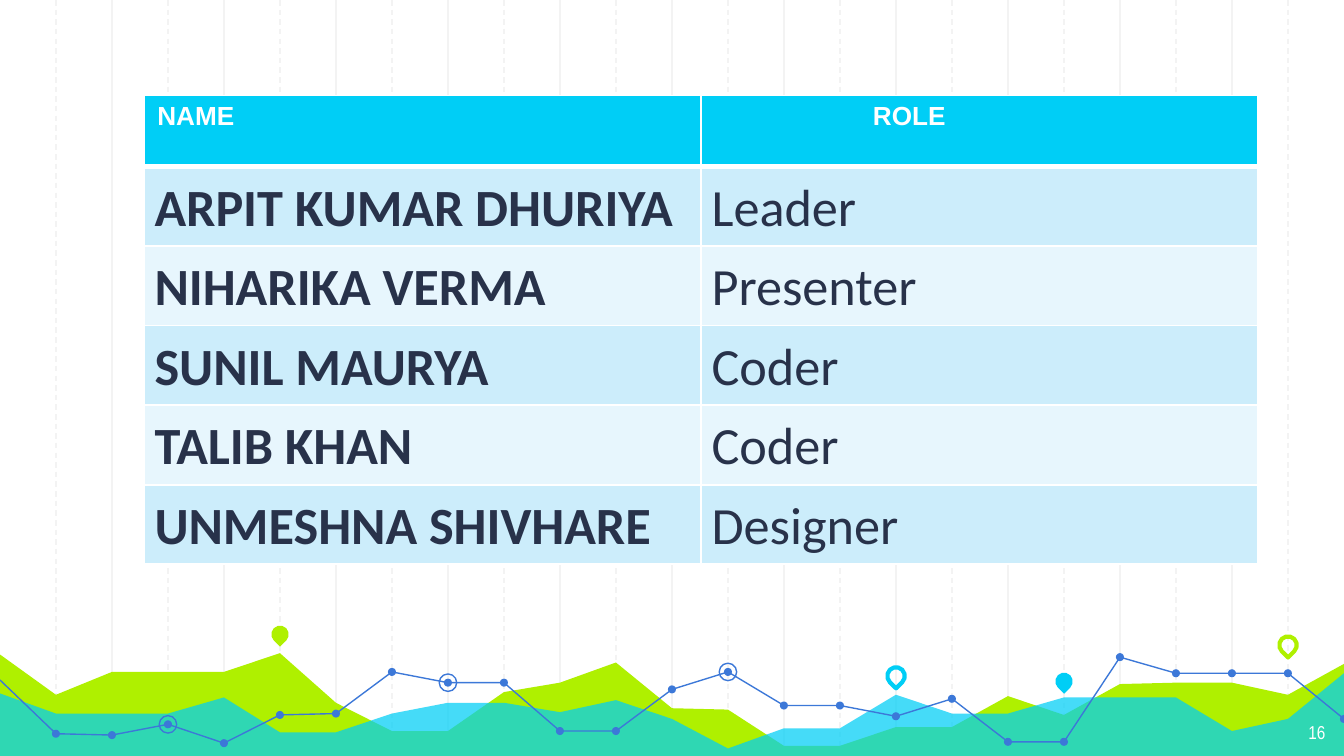
from lxml import etree
from pptx import Presentation
from pptx.dml.color import RGBColor
from pptx.enum.dml import MSO_LINE
from pptx.enum.shapes import MSO_CONNECTOR, MSO_SHAPE
from pptx.enum.text import PP_ALIGN
from pptx.oxml.ns import qn
from pptx.util import Inches, Pt

DASH = MSO_LINE.DASH
STRAIGHT = MSO_CONNECTOR.STRAIGHT
ELLIPSE = MSO_SHAPE.OVAL
TEARDROP = MSO_SHAPE.TEAR
RIGHT = PP_ALIGN.RIGHT

WHITE = RGBColor(0xFF, 0xFF, 0xFF)
GRID_GRAY = RGBColor(0xF3, 0xF3, 0xF3)
LIME = RGBColor(0xAF, 0xF0, 0x00)
CYAN = RGBColor(0x00, 0xCE, 0xF6)
BLUE = RGBColor(0x3C, 0x78, 0xD8)
NAVY = RGBColor(0x28, 0x32, 0x4A)
ROW_FILLS = (RGBColor(0xCC, 0xED, 0xFB), RGBColor(0xE7, 0xF6, 0xFD))

SLIDE_WIDTH = 10
SLIDE_HEIGHT = SLIDE_WIDTH * 9 / 16

COLUMNS = 24
# Heights above the bottom of the band, one for each grid line
LIME_HEIGHTS = (0.78, 0.48, 0.65, 0.65, 0.65, 0.79, 0.42, 0.21, 0.21, 0.5, 0.57, 0.72, 0.38,
                0.37, 0.1, 0.1, 0.24, 0.24, 0.47, 0.33, 0.56, 0.57, 0.57, 0.48, 0.71)
CYAN_HEIGHTS = (0.49, 0.34, 0.34, 0.34, 0.46, 0.2, 0.2, 0.34, 0.42, 0.42, 0.35, 0.44, 0.3,
                0.08, 0.23, 0.23, 0.48, 0.34, 0.34, 0.46, 0.46, 0.46, 0.21, 0.3, 0.64)
LINE_HEIGHTS = (0.59, 0.19, 0.18, 0.26, 0.12, 0.33, 0.34, 0.65, 0.57, 0.57, 0.21, 0.21, 0.52,
                0.65, 0.4, 0.4, 0.32, 0.45, 0.13, 0.13, 0.76, 0.64, 0.64, 0.64, 0.3)
LINE_SECTIONS = ((0, 11), (11, 20), (20, 24))
RINGED_COLUMNS = (3, 8, 13)
# Column, height, colour, filled
PINS = ((5, 0.93, LIME, True), (16, 0.62, CYAN, False),
        (19, 0.58, CYAN, True), (23, 0.85, LIME, False))

HEADERS = ("NAME", "ROLE")
TEAM = (("ARPIT KUMAR DHURIYA", "Leader"), ("NIHARIKA VERMA", "Presenter"),
        ("SUNIL MAURYA", "Coder"), ("TALIB KHAN", "Coder"),
        ("UNMESHNA SHIVHARE", "Designer"))


def style_shape(shape, fill=None, line=None, width=0.75):
    shape.shadow.inherit = False
    if fill is None:
        shape.fill.background()
    else:
        shape.fill.solid()
        shape.fill.fore_color.rgb = fill
    if line is None:
        shape.line.fill.background()
    else:
        shape.line.color.rgb = line
        shape.line.width = Pt(width)


def add_centred(shapes, kind, centre, size, **style):
    x, y = centre
    shape = shapes.add_shape(kind, Inches(x - size / 2), Inches(y - size / 2),
                             Inches(size), Inches(size))
    style_shape(shape, **style)
    return shape


def add_outline(shapes, points, close, **style):
    corners = [(Inches(x), Inches(y)) for x, y in points]
    builder = shapes.build_freeform(*corners[0], scale=1.0)
    builder.add_line_segments(corners[1:], close=close)
    shape = builder.convert_to_shape()
    style_shape(shape, **style)
    return shape


def add_grid(slide, left, top, width, height):
    """Vertical lines, dashed and solid in turn."""
    lines = slide.shapes.add_group_shape().shapes
    for column in range(1, COLUMNS):
        x = Inches(left + column * width / COLUMNS)
        line = lines.add_connector(STRAIGHT, x, Inches(top), x, Inches(top + height))
        line.line.color.rgb = GRID_GRAY
        line.line.width = Pt(0.75)
        if column % 2:
            line.line.dash_style = DASH
        etree.SubElement(line._element.spPr, qn("a:effectLst"))


def add_chart_band(slide, left, width, bottom):
    """Decorative areas, line and pins on the grid columns."""
    shapes = slide.shapes

    def place(column, height):
        return left + column * width / COLUMNS, bottom - height

    def add_area(heights, color):
        points = [place(*item) for item in enumerate(heights)]
        points += [place(COLUMNS, 0), place(0, 0)]
        return add_outline(shapes, points, True, fill=color)

    add_area(LIME_HEIGHTS, LIME)
    cyan_area = add_area(CYAN_HEIGHTS, CYAN)
    color = cyan_area._element.spPr.find(f"{qn('a:solidFill')}/{qn('a:srgbClr')}")
    etree.SubElement(color, qn("a:alpha"), val="73000")

    line_points = [place(*item) for item in enumerate(LINE_HEIGHTS)]
    for first, last in LINE_SECTIONS:
        add_outline(shapes, line_points[first:last + 1], False, line=BLUE)
    for point in line_points[1:]:
        add_centred(shapes, ELLIPSE, point, 0.06, fill=BLUE)
    for column in RINGED_COLUMNS:
        add_centred(shapes, ELLIPSE, line_points[column], 0.13, line=BLUE)
    for column, height, color, filled in PINS:
        style = {"fill": color} if filled else {"line": color, "width": 2.25}
        pin = add_centred(shapes, TEARDROP, place(column, height), 0.13, **style)
        pin.rotation = 135


def format_run(run, font, size, color, bold=False):
    run.font.name = font
    run.font.size = Pt(size)
    run.font.color.rgb = color
    run.font.bold = bold


def add_slide_number(slide, left, top, width, height):
    box = slide.shapes.add_textbox(Inches(left), Inches(top), Inches(width), Inches(height))
    frame = box.text_frame
    frame.word_wrap = True
    frame.margin_left = frame.margin_right = Inches(0.1)
    frame.margin_top = frame.margin_bottom = Inches(0.1)
    frame.text = "16"
    paragraph = frame.paragraphs[0]
    paragraph.alignment = RIGHT
    format_run(paragraph.runs[0], "Arial Narrow", 10, WHITE)


def set_borders(cell, top, bottom):
    properties = cell._tc.get_or_add_tcPr()
    for side, points in (("L", 1), ("R", 1), ("T", top), ("B", bottom)):
        border = etree.SubElement(properties, qn(f"a:ln{side}"), w=str(Pt(points)))
        fill = etree.SubElement(border, qn("a:solidFill"))
        etree.SubElement(fill, qn("a:srgbClr"), val=str(WHITE))


def add_team_table(slide, left, top, width, height, header_height):
    rows = (HEADERS, *TEAM)
    row_height = (height - header_height) / len(TEAM)
    table = slide.shapes.add_table(len(rows), len(HEADERS), Inches(left), Inches(top),
                                   Inches(width), Inches(height)).table
    for column in table.columns:
        column.width = Inches(width / len(HEADERS))
    for row_index, texts in enumerate(rows):
        header = row_index == 0
        table.rows[row_index].height = Inches(header_height if header else row_height)
        for column_index, text in enumerate(texts):
            cell = table.cell(row_index, column_index)
            set_borders(cell, 3 if row_index == 1 else 1, 3 if header else 1)
            cell.fill.solid()
            cell.fill.fore_color.rgb = CYAN if header else ROW_FILLS[(row_index - 1) % 2]
            cell.text_frame.text = text
            paragraph = cell.text_frame.paragraphs[0]
            run = paragraph.runs[0]
            if header:
                cell.margin_left = Inches((0.1, 1.28)[column_index])
                format_run(run, "Arial", 14, WHITE, True)
            else:
                cell.margin_left = cell.margin_right = Inches(0.08)
                cell.margin_top = cell.margin_bottom = Inches(0.04)
                paragraph.line_spacing = 1.07
                format_run(run, "Calibri", 28, NAVY, column_index == 0)


def main():
    presentation = Presentation()
    presentation.slide_width = Inches(SLIDE_WIDTH)
    presentation.slide_height = Inches(SLIDE_HEIGHT)
    slide = presentation.slides.add_slide(presentation.slide_layouts[6])
    add_grid(slide, 0, 0, SLIDE_WIDTH, 5.65)
    add_chart_band(slide, 0, SLIDE_WIDTH, 5.65)
    add_slide_number(slide, 9.36, 5.28, 0.6, 0.35)
    add_team_table(slide, 1.07, 0.71, 8.29, 3.49, 0.53)
    presentation.save("out.pptx")


if __name__ == "__main__":
    main()
